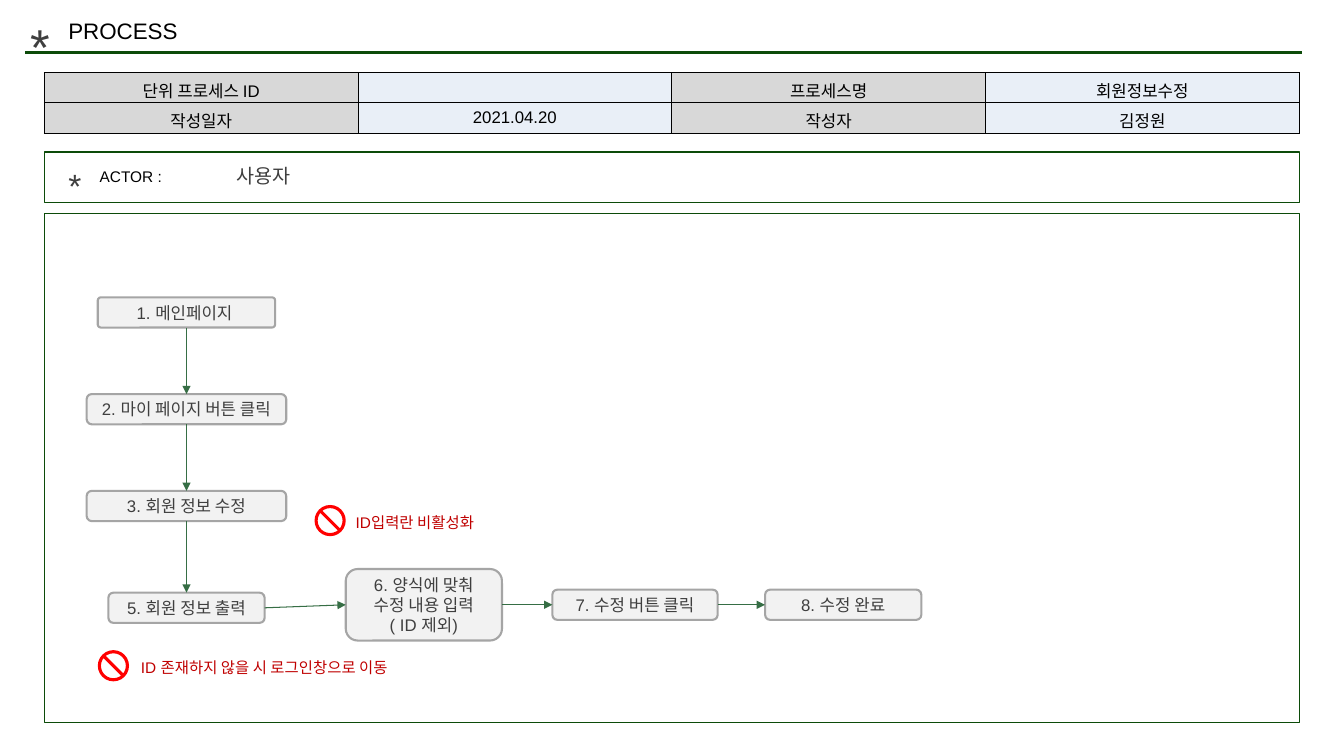
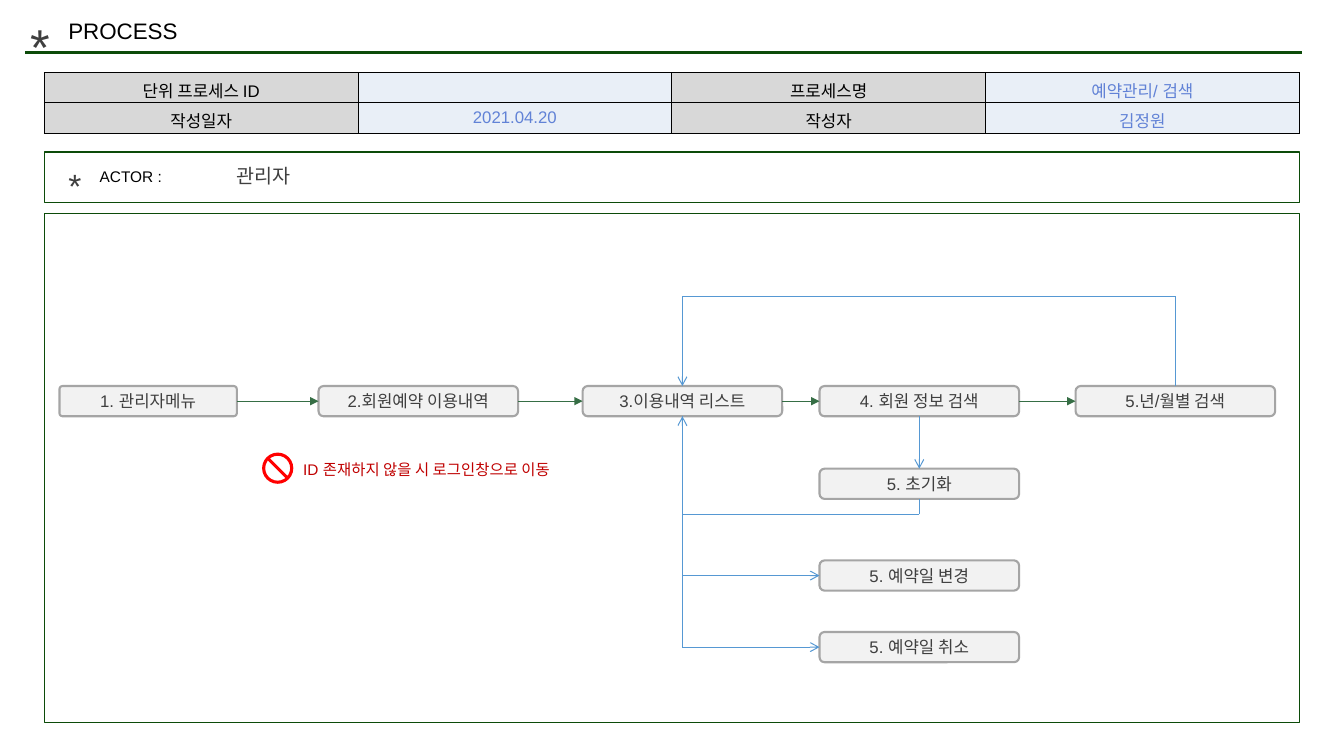
from dataclasses import dataclass
from itertools import pairwise
from lxml.etree import SubElement
from pptx import Presentation
from pptx.dml.color import RGBColor
from pptx.enum.shapes import MSO_CONNECTOR, MSO_SHAPE
from pptx.enum.text import MSO_ANCHOR, PP_ALIGN
from pptx.oxml.ns import qn
from pptx.util import Inches, Pt

TOP, LEFT, BOTTOM, RIGHT = range(4)


@dataclass(frozen=True)
class Theme:
    font: str = "Arial"
    ink: str = "3F3F3F"
    black: str = "000000"
    green: str = "0C4B09"
    arrow: str = "366E45"
    blue: str = "5698D3"
    value: str = "6182D6"
    red: str = "FF0000"
    warn: str = "C00000"
    label: str = "D8D8D8"
    field: str = "E9EFF7"
    box: str = "F2F2F2"
    edge: str = "A5A5A5"
    star: int = 36
    mark: int = 24
    title: int = 16
    actor: int = 14
    body: int = 12
    small: int = 11


THEME = Theme()


def unit(n):
    return Inches(n / 10)


def rgb(code):
    return RGBColor.from_string(code)


def write(frame, text, size=THEME.body, color=THEME.ink, align=PP_ALIGN.LEFT):
    for i, line in enumerate(text.split("\n")):
        para = frame.add_paragraph() if i else frame.paragraphs[0]
        para.alignment = align
        if line:
            run = para.add_run()
            run.text = line
            run.font.name = THEME.font
            run.font.size = Pt(size)
            run.font.color.rgb = rgb(color)
        else:
            SubElement(para._p, qn("a:endParaRPr"), sz=str(size * 100))


class Deck:
    def __init__(self, theme):
        self.theme = theme
        self.file = Presentation()
        self.file.slide_width = unit(133.33)
        self.file.slide_height = unit(75)

    def text(self, col, row, wide, high, words, **style):
        area = self.shapes.add_textbox(*map(unit, (col, row, wide, high)))
        area.text_frame.word_wrap = True
        write(area.text_frame, words, **style)

    def shape(self, kind, col, row, wide, high, fill=None, line=None, width=1):
        item = self.shapes.add_shape(kind, *map(unit, (col, row, wide, high)))
        item.shadow.inherit = False
        if fill:
            item.fill.solid()
            item.fill.fore_color.rgb = rgb(fill)
        else:
            item.fill.background()
        if line:
            item.line.color.rgb = rgb(line)
            item.line.width = Pt(width)
        else:
            item.line.fill.background()
        return item

    def line(self, start, end, color, width=0.75, head=None):
        ends = [unit(n) for n in (*start, *end)]
        item = self.shapes.add_connector(MSO_CONNECTOR.STRAIGHT, *ends)
        item.line.color.rgb = rgb(color)
        item.line.width = Pt(width)
        props = item._element.spPr
        if head:
            SubElement(props.find(qn("a:ln")), qn("a:tailEnd"), type=head)
        SubElement(props, qn("a:effectLst"))
        return item

    def link(self, first, side, last, port, via=(), color=None, head="triangle"):
        spots = [(0, 0), *via, (0, 0)]
        parts = list(pairwise(spots))
        for i, (start, end) in enumerate(parts):
            final = i == len(parts) - 1
            item = self.line(start, end, color or self.theme.arrow, head=head if final else None)
            if i == 0:
                item.begin_connect(first, side)
            if final:
                item.end_connect(last, port)

    def box(self, col, row, words, wide=19.8, high=3, curve=0.167):
        item = self.shape(MSO_SHAPE.ROUNDED_RECTANGLE, col, row, wide, high,
                          self.theme.box, self.theme.edge, 1.5)
        item.adjustments[0] = curve
        frame = item.text_frame
        frame.word_wrap = True
        frame.vertical_anchor = MSO_ANCHOR.MIDDLE
        frame.margin_left = frame.margin_right = unit(0.4)
        frame.margin_top = frame.margin_bottom = unit(0.4)
        write(frame, words, align=PP_ALIGN.CENTER)
        return item

    def note(self, col, row, words, gap=3.1):
        sign = self.shape(MSO_SHAPE.NO_SYMBOL, col, row, 3.1, 3.1, self.theme.red)
        sign.adjustments[0] = 0.101
        self.text(col + gap, row + 0.3, 30, 2.9, words,
                  size=self.theme.small, color=self.theme.warn)

    def table(self, rows, color):
        look = self.theme
        grid = self.shapes.add_table(2, 4, *map(unit, (4.4, 7.2, 124.5, 6))).table
        grid.first_row = grid.horz_banding = False
        for r, row in enumerate(rows):
            for c, words in enumerate(row):
                cell = grid.cell(r, c)
                props = cell._tc.get_or_add_tcPr()
                for side in ("lnL", "lnR", "lnT", "lnB"):
                    rule = SubElement(props, qn(f"a:{side}"), w=str(Pt(0.75)))
                    fill = SubElement(rule, qn("a:solidFill"))
                    SubElement(fill, qn("a:srgbClr"), val=look.black)
                cell.fill.solid()
                cell.fill.fore_color.rgb = rgb(look.field if c % 2 else look.label)
                cell.vertical_anchor = MSO_ANCHOR.MIDDLE
                write(cell.text_frame, words, align=PP_ALIGN.CENTER,
                      color=color if c % 2 else look.black)

    def page(self, name, actor, color):
        look = self.theme
        self.shapes = self.file.slides.add_slide(self.file.slide_layouts[6]).shapes
        self.line((2.5, 5.2), (129.2, 5.2), look.green, 2.25)
        self.text(2, 1, 5.2, 7.1, "*", size=look.star)
        self.text(5.8, 1.2, 43.2, 3.7, "PROCESS", size=look.title, color=look.black)
        self.table([("단위 프로세스 ID", "", "프로세스명", name),
                    ("작성일자", "2021.04.20", "작성자", "김정원")], color)
        for row, high in ((15.1, 5), (21.2, 50.5)):
            self.shape(MSO_SHAPE.RECTANGLE, 4.4, row, 124.5, high, line=look.green)
        self.text(5.8, 15.9, 5.2, 5, "*", size=look.mark)
        self.text(8.9, 16.1, 13.3, 2.9, "ACTOR :", size=look.small, color=look.black)
        self.text(22.5, 15.8, 43.2, 3.4, actor, size=look.actor)


def edit(deck):
    deck.page("회원정보수정", "사용자", THEME.black)
    down = [
        deck.box(9.7, 29.5, "1. 메인페이지 ", wide=17.6, curve=0.103),
        deck.box(8.6, 39.1, "2. 마이 페이지 버튼 클릭"),
        deck.box(8.6, 48.7, "3. 회원 정보 수정"),
        deck.box(10.75, 58.8, "5. 회원 정보 출력", wide=15.5),
    ]
    across = [
        down[-1],
        deck.box(34.3, 56.45, "6. 양식에 맞춰\n수정 내용 입력\n( ID 제외)", wide=15.5, high=7.1),
        deck.box(54.8, 58.5, "7. 수정 버튼 클릭", wide=16.4),
        deck.box(75.9, 58.5, "8. 수정 완료", wide=15.5),
    ]
    for first, last in pairwise(down):
        deck.link(first, BOTTOM, last, TOP)
    for first, last in pairwise(across):
        deck.link(first, RIGHT, last, LEFT)
    deck.note(31.2, 50.1, "ID입력란 비활성화")
    deck.note(9.7, 64.5, "ID 존재하지 않을 시 로그인창으로 이동", gap=3.3)


def search(deck):
    deck.page("예약관리/ 검색", "관리자", THEME.value)
    row = 38.3
    menu = deck.box(5.9, row, "1. 관리자메뉴", wide=17.6, curve=0.103)
    usage = deck.box(31.6, row, "2.회원예약 이용내역")
    items = deck.box(57.8, row, "3.이용내역 리스트")
    member = deck.box(81.3, row, "4. 회원 정보 검색")
    period = deck.box(106.7, row, "5.년/월별 검색")
    reset = deck.box(81.3, 46.5, "5. 초기화")
    change = deck.box(81.3, 55.6, "5. 예약일 변경")
    cancel = deck.box(81.3, 62.7, "5. 예약일 취소")
    for first, last in pairwise((menu, usage, items, member, period)):
        deck.link(first, RIGHT, last, LEFT)

    trunk, stem, far = 67.7, 91.2, 116.6
    thin = {"color": THEME.blue, "head": "arrow"}
    deck.link(period, TOP, items, TOP, [(far, 29.4), (trunk, 29.4)], **thin)
    deck.link(member, BOTTOM, reset, TOP, **thin)
    deck.link(reset, BOTTOM, items, BOTTOM, [(stem, 51), (trunk, 51)], **thin)
    for last, level in ((change, 57.1), (cancel, 64.2)):
        deck.link(items, BOTTOM, last, LEFT, [(trunk, level)], **thin)
    deck.note(26, 44.9, "ID 존재하지 않을 시 로그인창으로 이동")


def main():
    deck = Deck(THEME)
    edit(deck)
    search(deck)
    deck.file.save("out.pptx")


if __name__ == "__main__":
    main()
